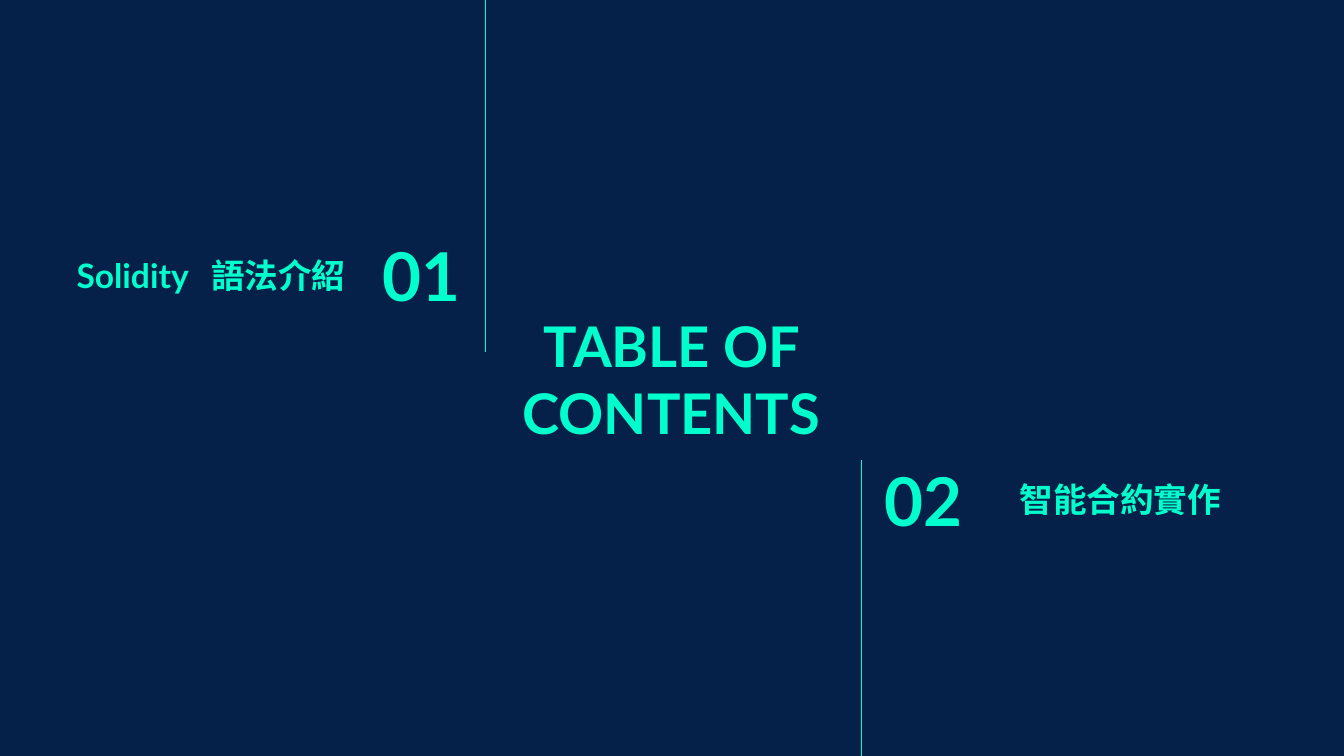
"""Build a table of contents slide with two numbered sections."""
from lxml import etree
from pptx import Presentation
from pptx.dml.color import RGBColor
from pptx.enum.shapes import MSO_CONNECTOR
from pptx.enum.text import MSO_ANCHOR, MSO_AUTO_SIZE, PP_ALIGN
from pptx.oxml.ns import qn
from pptx.util import Cm, Pt

STRAIGHT = MSO_CONNECTOR.STRAIGHT
MIDDLE, BOTTOM = MSO_ANCHOR.MIDDLE, MSO_ANCHOR.BOTTOM
LEFT, CENTER, RIGHT = PP_ALIGN.LEFT, PP_ALIGN.CENTER, PP_ALIGN.RIGHT
NO_FIT = MSO_AUTO_SIZE.NONE
WIDTH, HEIGHT = 25.4, 14.28


def rgb(value):
    return RGBColor.from_string(value)


def add_run(p, text, size=18, font="Lato", color="00FFCD", spacing=0):
    r = p.add_run()
    r.text = text
    r.font.name, r.font.size, r.font.bold = font, Pt(size), True
    r.font.color.rgb = rgb(color)
    if spacing:
        r._r.get_or_add_rPr().set("spc", str(spacing))


class Deck:
    accent = "00FFCD"
    background = "05214A"
    inset = 0.25

    def __init__(self, prs):
        self.slide = prs.slides.add_slide(prs.slide_layouts[5])
        fill = self.slide.background.fill
        fill.solid()
        fill.fore_color.rgb = rgb(self.background)

    def frame(self, sp, align, anchor):
        tf = sp.text_frame
        tf.word_wrap, tf.auto_size, tf.vertical_anchor = True, NO_FIT, anchor
        tf.margin_left = tf.margin_right = Cm(self.inset)
        tf.margin_top = tf.margin_bottom = Cm(self.inset)
        p = tf.paragraphs[0]
        p.alignment = align
        return p

    def title(self, text, x, y, w, h):
        sp = self.slide.shapes.title
        sp.left, sp.top, sp.width, sp.height = Cm(x), Cm(y), Cm(w), Cm(h)
        add_run(self.frame(sp, CENTER, MIDDLE), text, size=30, color=self.accent)

    def label(self, x, y, w, h, align=LEFT, anchor=BOTTOM):
        sp = self.slide.shapes.add_textbox(Cm(x), Cm(y), Cm(w), Cm(h))
        return self.frame(sp, align, anchor)

    def number(self, text, x, y, w, align):
        p = self.label(x, y, w, 1.6, align, MIDDLE)
        add_run(p, text, size=36, color=self.accent)

    def rule(self, x, top, bottom):
        line = self.slide.shapes.add_connector(STRAIGHT, Cm(x), Cm(top), Cm(x), Cm(bottom))
        line.line.color.rgb = rgb(self.accent)
        line.line.width = Pt(0.75)
        etree.SubElement(line._element.spPr, qn("a:effectLst"))


def main():
    prs = Presentation()
    prs.slide_width, prs.slide_height = Cm(WIDTH), Cm(HEIGHT)
    deck = Deck(prs)
    deck.title("TABLE OF CONTENTS", 9.4, 5.84, 6.58, 2.62)

    p = deck.label(0.91, 4.09, 5.87, 1.73, RIGHT)
    add_run(p, "Solidity")
    add_run(p, " ", spacing=750)
    add_run(p, "語法介紹")
    deck.number("01", 5.89, 4.39, 3.07, RIGHT)
    deck.rule(9.17, 0, 6.65)

    deck.rule(16.28, 8.69, HEIGHT)
    deck.number("02", 16.46, 8.64, 2.97, LEFT)
    add_run(deck.label(19.02, 8.46, 5.49, 1.6), "智能合約實作")
    prs.save("out.pptx")


if __name__ == "__main__":
    main()
